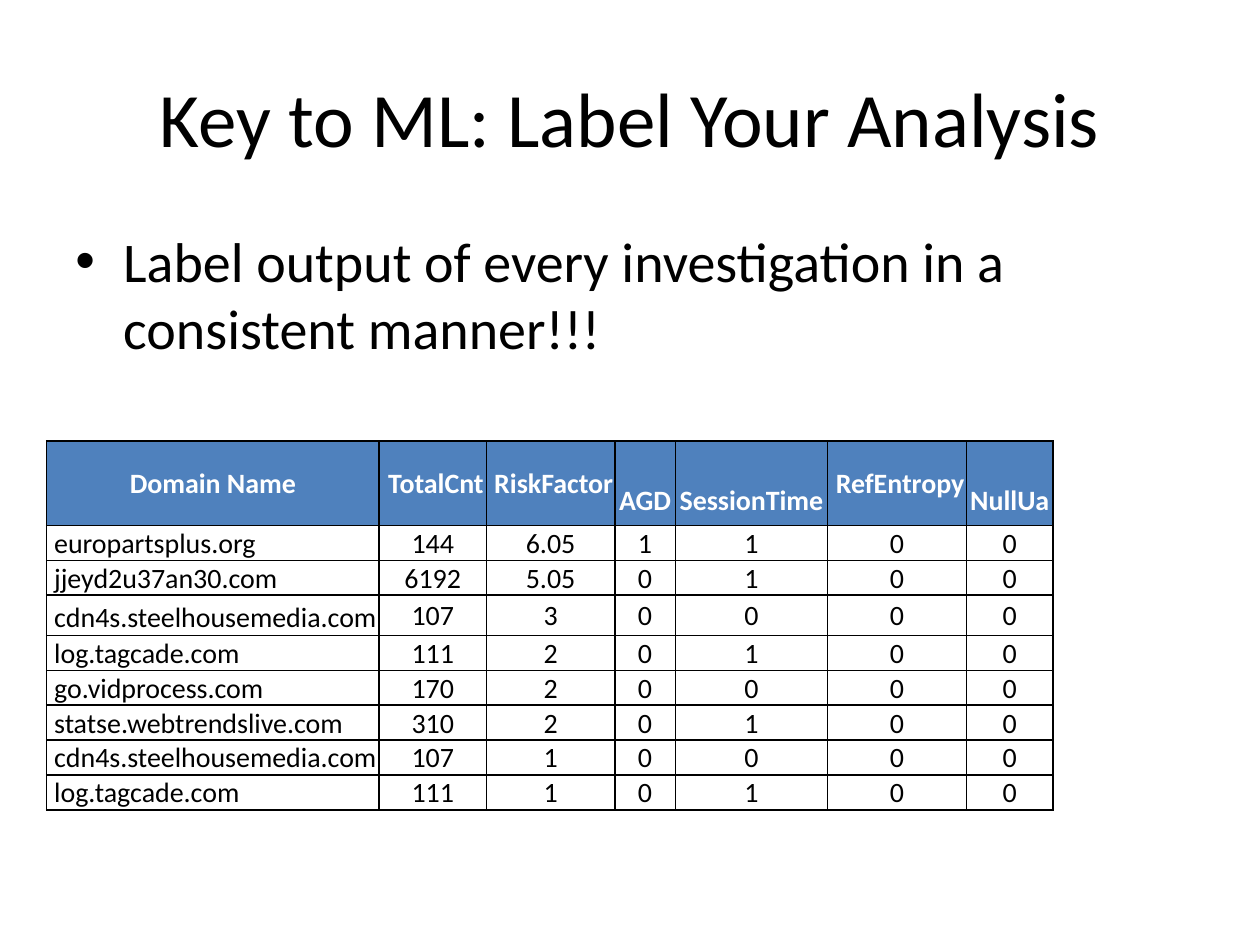
from dataclasses import dataclass

from lxml import etree
from pptx import Presentation
from pptx.dml.color import RGBColor
from pptx.enum.text import MSO_ANCHOR, PP_ALIGN
from pptx.oxml.ns import qn
from pptx.util import Inches, Pt

LEFT, CENTER = PP_ALIGN.LEFT, PP_ALIGN.CENTER
TOP, MIDDLE, BOTTOM = MSO_ANCHOR.TOP, MSO_ANCHOR.MIDDLE, MSO_ANCHOR.BOTTOM
FONT = "Calibri"
BLACK, WHITE, BLUE = "000000", "FFFFFF", "4F81BD"
BLANK_LAYOUT = 6
COLUMN_WIDTHS = [2.64, 0.85, 1.02, 0.48, 1.21, 1.1, 0.69]
ROW_HEIGHTS = [0.67, 0.23, 0.23, 0.32] + [0.23] * 5


@dataclass
class TextBlock:
    text: str
    top: float
    height: float
    size: int
    align: PP_ALIGN
    anchor: MSO_ANCHOR
    bulleted: bool = False


@dataclass
class DomainRow:
    domain: str
    total_count: str
    risk_factor: str
    agd: str
    session_time: str
    ref_entropy: str = "0"
    null_ua: str = "0"

    def values(self) -> list[str]:
        return [" " + self.domain, self.total_count, self.risk_factor,
                self.agd, self.session_time, self.ref_entropy, self.null_ua]


HEADINGS = ["Domain Name", " TotalCnt", " RiskFactor", " AGD",
            " SessionTime", " RefEntropy", " NullUa"]
DOMAINS = [
    DomainRow("europartsplus.org", "144", "6.05", "1", "1"),
    DomainRow("jjeyd2u37an30.com", "6192", "5.05", "0", "1"),
    DomainRow("cdn4s.steelhousemedia.com", "107", "3", "0", "0"),
    DomainRow("log.tagcade.com", "111", "2", "0", "1"),
    DomainRow("go.vidprocess.com", "170", "2", "0", "0"),
    DomainRow("statse.webtrendslive.com", "310", "2", "0", "1"),
    DomainRow("cdn4s.steelhousemedia.com", "107", "1", "0", "0"),
    DomainRow("log.tagcade.com", "111", "1", "0", "1"),
]
TITLE = TextBlock("Key to ML: Label Your Analysis", 0.3, 1.25, 44, CENTER, MIDDLE)
ADVICE = TextBlock("Label output of every investigation in a consistent manner!!!",
                   1.75, 4.95, 32, LEFT, TOP, bulleted=True)


def color(value: str) -> RGBColor:
    return RGBColor.from_string(value)


def style_paragraph(para, size: int, ink: str, align: PP_ALIGN, bold: bool = False) -> None:
    para.alignment = align
    para.font.name = FONT
    para.font.size = Pt(size)
    para.font.bold = bold
    para.font.color.rgb = color(ink)


def add_bullet(para) -> None:
    properties = para._p.get_or_add_pPr()
    properties.set("marL", str(Inches(0.38)))
    properties.set("indent", str(Inches(-0.38)))
    etree.SubElement(properties, qn("a:buFont"), typeface="Arial")
    etree.SubElement(properties, qn("a:buChar"), char="•")


def add_text(page, block: TextBlock) -> None:
    box = page.shapes.add_textbox(Inches(0.5), Inches(block.top),
                                  Inches(9), Inches(block.height))
    frame = box.text_frame
    frame.word_wrap = True
    frame.vertical_anchor = block.anchor
    para = frame.paragraphs[0]
    para.text = block.text
    if block.bulleted:
        add_bullet(para)
    style_paragraph(para, block.size, BLACK, block.align)


def add_borders(cell) -> None:
    properties = cell._tc.get_or_add_tcPr()
    for position, side in enumerate(("lnL", "lnR", "lnT", "lnB")):
        line = etree.Element(qn(f"a:{side}"), w=str(Pt(1)))
        fill = etree.SubElement(line, qn("a:solidFill"))
        etree.SubElement(fill, qn("a:srgbClr"), val=BLACK)
        properties.insert(position, line)


def fill_cell(cell, text: str, is_header: bool, is_domain: bool) -> None:
    cell.margin_left = cell.margin_right = cell.margin_top = Inches(0.01)
    cell.margin_bottom = Inches(0)
    left_aligned = is_domain and not is_header
    cell.vertical_anchor = BOTTOM if left_aligned else MIDDLE
    if is_header:
        cell.fill.solid()
        cell.fill.fore_color.rgb = color(BLUE)
    else:
        cell.fill.background()
    add_borders(cell)
    para = cell.text_frame.paragraphs[0]
    para.text = text
    style_paragraph(para, 16, WHITE if is_header else BLACK,
                    LEFT if left_aligned else CENTER, is_header)


def add_domain_table(page) -> None:
    rows = [HEADINGS] + [domain.values() for domain in DOMAINS]
    table = page.shapes.add_table(
        len(rows), len(HEADINGS), Inches(0.37), Inches(3.5),
        Inches(sum(COLUMN_WIDTHS)), Inches(sum(ROW_HEIGHTS))).table
    table.first_row = False
    table.horz_banding = False
    for column, width in zip(table.columns, COLUMN_WIDTHS):
        column.width = Inches(width)
    for row, height in zip(table.rows, ROW_HEIGHTS):
        row.height = Inches(height)
    for r, values in enumerate(rows):
        for c, value in enumerate(values):
            fill_cell(table.cell(r, c), value, r == 0, c == 0)


def main() -> None:
    deck = Presentation()
    deck.slide_width = Inches(10)
    deck.slide_height = Inches(7.5)
    page = deck.slides.add_slide(deck.slide_layouts[BLANK_LAYOUT])
    add_text(page, TITLE)
    add_domain_table(page)
    add_text(page, ADVICE)
    deck.save("out.pptx")


if __name__ == "__main__":
    main()
